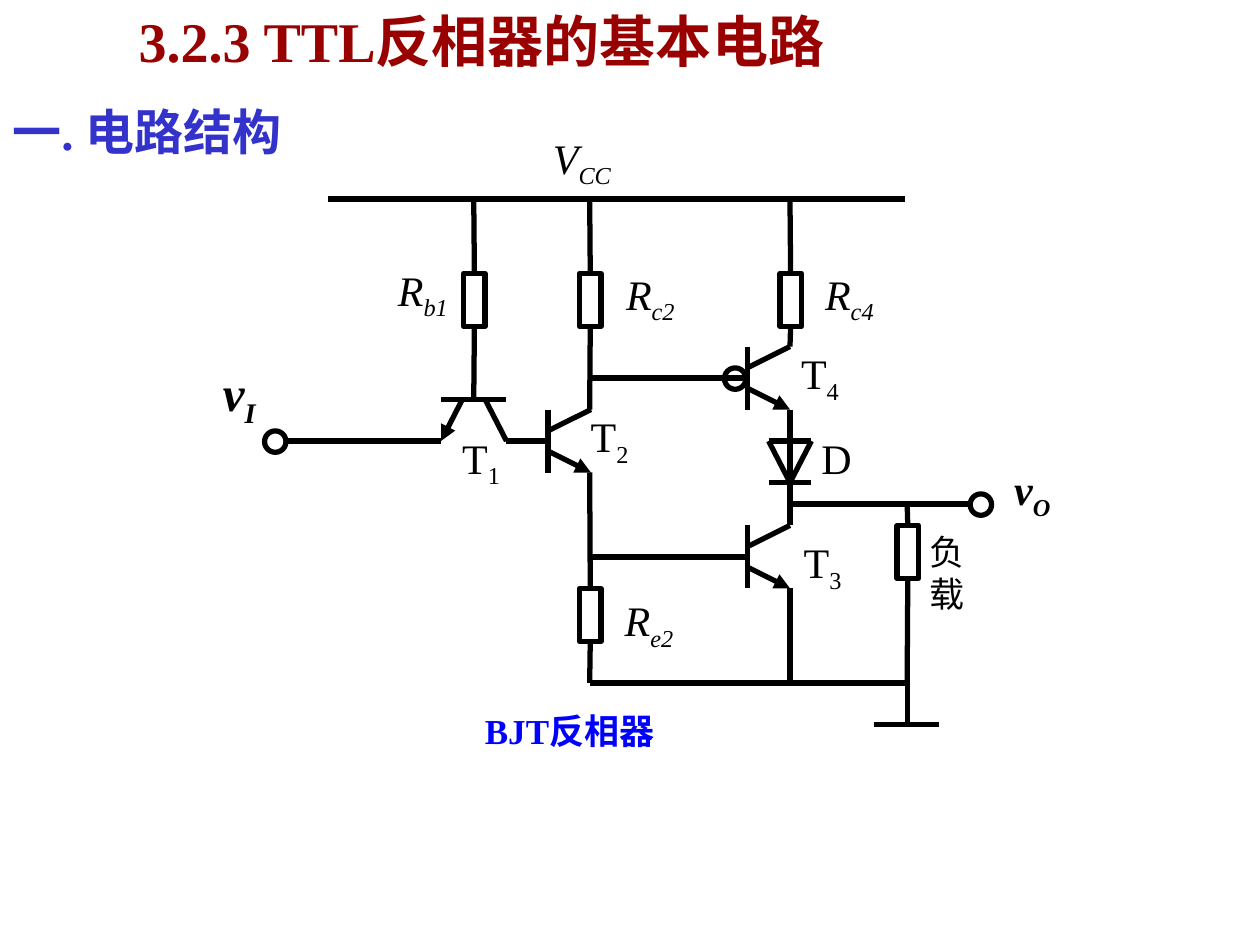
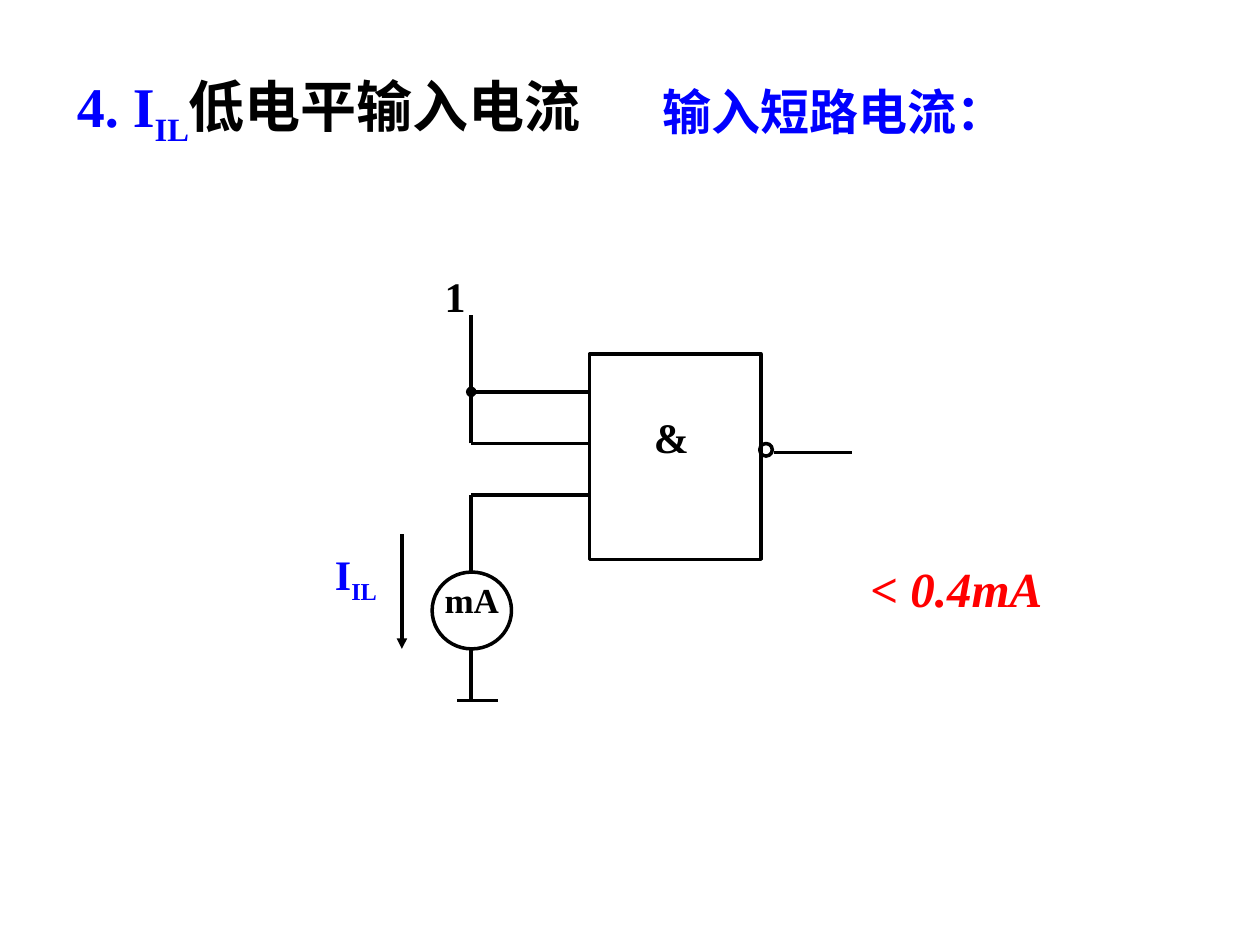
from lxml import etree
from pptx import Presentation
from pptx.dml.color import RGBColor
from pptx.enum import shapes as sh, text as tx
from pptx.oxml import ns
from pptx.util import Inches, Pt

BLACK = RGBColor(0, 0, 0)
WHITE = RGBColor(255, 255, 255)
WINE = RGBColor(0x99, 0, 0)
INDIGO = RGBColor(0x33, 0x33, 0xCC)
BLUE = RGBColor(0, 0, 255)
RED = RGBColor(255, 0, 0)
FONT = "Times New Roman"


def write(shape, *parts, size=24, color=BLACK, last=None, bold=False,
          italic=False, wrap=True):
    frame = shape.text_frame
    frame.word_wrap = wrap
    frame.auto_size = tx.MSO_AUTO_SIZE.NONE
    frame.vertical_anchor = tx.MSO_ANCHOR.TOP
    para = frame.paragraphs[0]
    para.alignment = tx.PP_ALIGN.LEFT
    for i, part in enumerate(parts):
        run = para.add_run()
        run.text = part
        font = run.font
        font.name, font.size = FONT, Pt(size)
        font.bold, font.italic = bold, italic
        font.color.rgb = last if last and i == 2 else color
        if i % 2:
            run._r.get_or_add_rPr().set("baseline", "-25000")


class Pen:
    def __init__(self, slide, left, top, weight=3):
        self.slide, self.left, self.top = slide, left, top
        self.weight = weight

    def at(self, x, y):
        return Inches(self.left + x), Inches(self.top + y)

    def line(self, x1, y1, x2, y2, head=None, tail=None, start=None, stop=None):
        wire = self.slide.shapes.add_connector(
            sh.MSO_CONNECTOR.STRAIGHT, *self.at(x1, y1), *self.at(x2, y2))
        if start:
            wire.begin_connect(*start)
        if stop:
            wire.end_connect(*stop)
        wire.line.color.rgb = BLACK
        wire.line.width = Pt(self.weight)
        for tag, kind in (("a:headEnd", head), ("a:tailEnd", tail)):
            if kind:
                end = etree.SubElement(wire.line._get_or_add_ln(), ns.qn(tag))
                end.set("type", kind)
        etree.SubElement(wire._element.spPr, ns.qn("a:effectLst"))

    def shape(self, kind, x, y, w, h, fill=None):
        item = self.slide.shapes.add_shape(
            kind, *self.at(x, y), Inches(w), Inches(h))
        item.shadow.inherit = False
        if fill is None:
            item.fill.background()
        else:
            item.fill.solid()
            item.fill.fore_color.rgb = fill
        item.line.color.rgb = BLACK
        item.line.width = Pt(self.weight)
        return item

    def rect(self, x, y, w, h):
        return self.shape(sh.MSO_SHAPE.RECTANGLE, x, y, w, h)

    def ring(self, x, y, w=0.17, h=0.17, fill=None):
        return self.shape(sh.MSO_SHAPE.OVAL, x, y, w, h, fill)

    def note(self, x, y, w, h, *parts, **style):
        box = self.slide.shapes.add_textbox(
            *self.at(x, y), Inches(w), Inches(h))
        write(box, *parts, **style)

    def label(self, x, y, *parts, w=0.58, **style):
        self.note(x, y, w, 0.56, *parts, wrap=False, **style)


def add_title(slide, x, y, w, h, *parts, **style):
    title = slide.shapes.title
    title.left, title.top = Inches(x), Inches(y)
    title.width, title.height = Inches(w), Inches(h)
    write(title, *parts, size=32, bold=True, **style)


def resistor(pen, x, top, body, end):
    rect = pen.rect(x - 0.08, body, 0.17, 0.42)
    pen.line(x, top, x, body, stop=(rect, 0))
    pen.line(x, body + 0.42, x, end, start=(rect, 2))


def transistor(pen, x, y):
    pen.line(x, y - 0.25, x, y + 0.25)
    pen.line(x, y + 0.08, x + 0.34, y + 0.25, tail="triangle")
    pen.line(x, y - 0.08, x + 0.34, y - 0.25)


def diode(pen, x, y):
    for level in (y, y + 0.33):
        pen.line(x - 0.17, level, x + 0.17, level)
    for side in (-0.17, 0.17):
        pen.line(x + side, y, x, y + 0.33)


def supply(pen):
    pen.line(0, 0, 4.58, 0)
    pen.label(1.69, -0.58, "V", "CC", w=0.66, italic=True)


def input_stage(pen):
    resistor(pen, 2.09, 0, 0.59, 1.59)
    pen.line(1.83, 1.59, 2.35, 1.59)
    pen.line(2, 1.59, 1.83, 1.92, tail="triangle")
    pen.line(2.18, 1.59, 2.35, 1.92)
    pen.line(1.83, 1.92, 0.61, 1.92)
    pen.ring(0.43, 1.84, fill=WHITE)
    pen.label(1.9, 1.8, "T", "1", w=0.5)
    pen.label(1.39, 0.47, "R", "b1", italic=True)
    pen.note(0, 1.25, 0.96, 0.63, "v", "I", size=28, bold=True, italic=True)


def splitter(pen):
    pen.line(0, 1.92, 0.33, 1.92)
    transistor(pen, 0.33, 1.92)
    resistor(pen, 0.66, 0, 0.59, 1.67)
    resistor(pen, 0.66, 2.17, 3.09, 3.84)
    pen.label(0.57, 1.63, "T", "2", w=0.5)
    pen.label(0.85, 0.5, "R", "c2", italic=True)
    pen.label(0.84, 3.09, "R", "e2", italic=True)


def output_stage(pen):
    for base in (1.42, 2.84):
        pen.line(0, base, 1.25, base)
        transistor(pen, 1.25, base)
    pen.ring(1.07, 1.34)
    resistor(pen, 1.59, 0, 0.59, 1.17)
    pen.line(1.59, 1.67, 1.59, 2.59)
    diode(pen, 1.59, 1.92)
    pen.line(1.59, 3.09, 1.59, 3.84)
    pen.line(1.59, 2.42, 3.02, 2.42)
    pen.ring(3.02, 2.34, fill=WHITE)
    resistor(pen, 2.52, 2.42, 2.59, 3.84)
    pen.line(0, 3.84, 2.52, 3.84)
    pen.line(2.52, 3.84, 2.52, 4.17)
    pen.line(2.26, 4.17, 2.77, 4.17)
    pen.label(1.77, 0.5, "R", "c4", italic=True)
    pen.label(1.58, 1.13, "T", "4", w=0.5)
    pen.label(1.74, 1.8, "D", w=0.44)
    pen.label(1.6, 2.63, "T", "3", w=0.5)
    pen.label(3.27, 2.05, "v", "O", w=0.49, bold=True, italic=True)
    pen.note(2.6, 2.58, 0.75, 0.44, "负载", size=20)


def gate(pen):
    pen.rect(2.12, 0.71, 1.36, 1.63)
    pen.ring(3.47, 1.42, 0.1, 0.1)
    for i in range(3):
        y = 1.01 + 0.41 * i
        pen.line(1.18, y, 2.12, y, head=None if i else "oval")
    pen.line(1.18, 1.42, 1.18, 0.4)
    pen.line(3.58, 1.49, 4.2, 1.49)
    pen.note(0.87, 0, 0.73, 0.5, "1", bold=True)
    pen.note(2.53, 1.12, 0.52, 0.5, "&", bold=True)


def meter(pen):
    pen.line(1.18, 0, 1.18, 0.61)
    pen.ring(0.87, 0.61, 0.63, 0.61)
    pen.line(1.18, 1.22, 1.18, 1.63)
    pen.line(1.07, 1.63, 1.39, 1.63)
    pen.line(0.63, 0.31, 0.63, 1.22, tail="triangle")
    pen.note(0.87, 0.61, 0.83, 0.44, "mA", size=20, bold=True)
    pen.note(0, 0.37, 0.75, 1.22, "I", "IL", color=BLUE, bold=True)
    pen.note(4.25, 0.45, 2.6, 0.57, "< 0.4mA", size=28, color=RED,
             bold=True, italic=True)


def inverter_slide(slide):
    add_title(slide, 1, 0, 6.76, 0.64, "3.2.3 TTL反相器的基本电路", color=WINE)
    page = Pen(slide, 0, 0)
    page.note(0, 0.76, 2.7, 0.57, "一. 电路结构", size=28, color=INDIGO,
              bold=True)
    page.note(3.75, 5.58, 2, 0.44, "BJT反相器", size=20, color=BLUE, bold=True)
    rail = 1.58
    supply(Pen(slide, 2.6, rail))
    input_stage(Pen(slide, 1.67, rail))
    splitter(Pen(slide, 4.02, rail))
    output_stage(Pen(slide, 4.68, rail))


def current_slide(slide):
    add_title(slide, 0.51, 0.52, 5.35, 0.71, "4. I", "IL", "低电平输入电流",
              color=BLUE, last=BLACK)
    Pen(slide, 5.16, 0.6).note(0, 0, 3.62, 0.57, "输入短路电流：", size=28,
                               color=BLUE, bold=True)
    gate(Pen(slide, 2.56, 2.1, weight=2))
    meter(Pen(slide, 2.56, 3.93, weight=2))


def main():
    deck = Presentation()
    deck.slide_width, deck.slide_height = Inches(10), Inches(7.5)
    for build in (inverter_slide, current_slide):
        build(deck.slides.add_slide(deck.slide_layouts[5]))
    deck.save("out.pptx")


if __name__ == "__main__":
    main()
